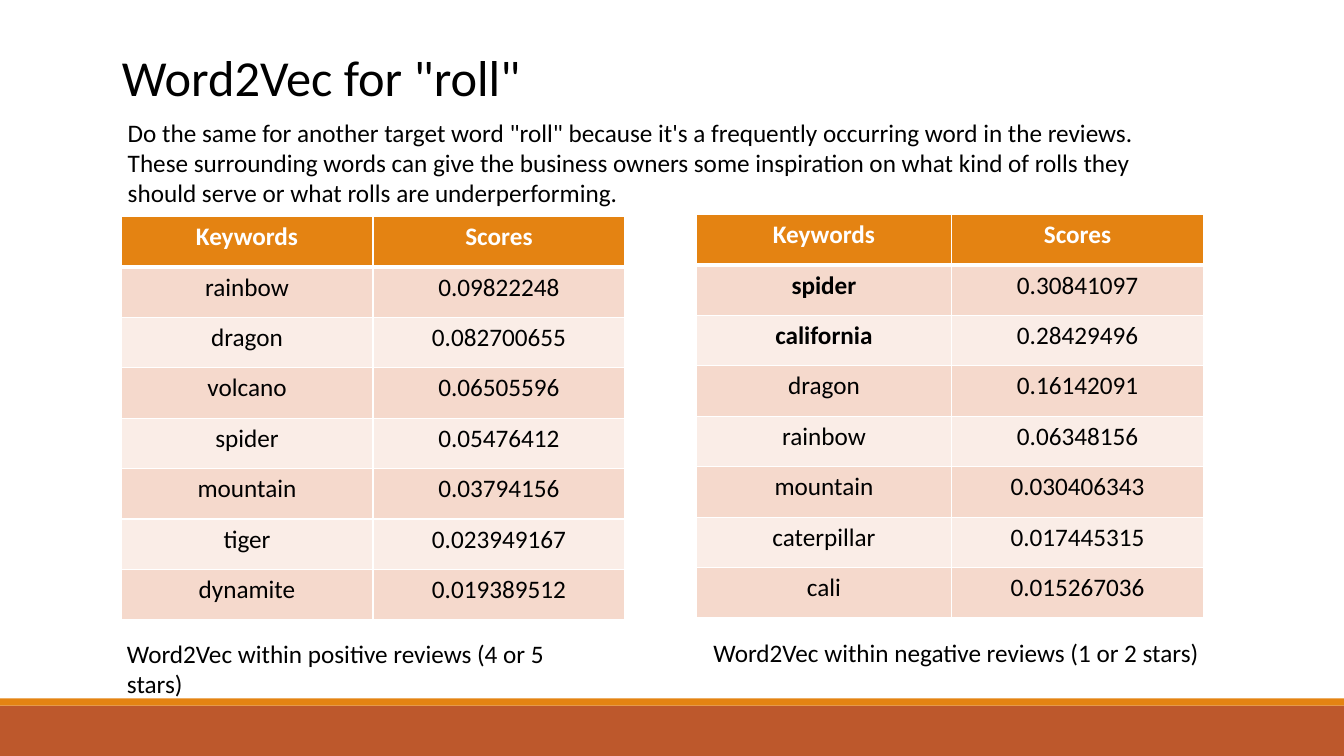
from dataclasses import dataclass

from lxml import etree
from pptx import Presentation
from pptx.dml.color import RGBColor
from pptx.enum.shapes import MSO_SHAPE as Preset
from pptx.enum.text import MSO_ANCHOR as Anchor, MSO_AUTO_SIZE as AutoSize, PP_ALIGN as Align
from pptx.oxml.ns import qn
from pptx.util import Cm, Pt


@dataclass(frozen=True)
class Theme:
    font: str = "Calibri"
    title_size: int = 36
    body_size: int = 18
    text: str = "000000"
    light: str = "FFFFFF"
    accent: str = "E48312"
    base: str = "BD582C"
    bands: tuple = ("F5D9CC", "FAEDE7")
    thin_rule: int = 1
    header_rule: int = 3


class SlideBuilder:
    def __init__(self, slide, theme):
        self.slide = slide
        self.theme = theme

    def style(self, paragraph, size, color, bold=False, align=Align.LEFT):
        paragraph.alignment = align
        for run in paragraph.runs:
            run.font.name = self.theme.font
            run.font.size = Pt(size)
            run.font.bold = bold
            run.font.color.rgb = RGBColor.from_string(color)

    def title(self, text, left, top, width, height):
        heading = self.slide.shapes.title
        heading.left, heading.top = Cm(left), Cm(top)
        heading.width, heading.height = Cm(width), Cm(height)
        frame = heading.text_frame
        frame.text = text
        frame.auto_size = AutoSize.NONE
        frame.vertical_anchor = Anchor.TOP
        self.style(frame.paragraphs[0], self.theme.title_size, self.theme.text)

    def text(self, text, left, top, width, height):
        box = self.slide.shapes.add_textbox(Cm(left), Cm(top), Cm(width), Cm(height))
        frame = box.text_frame
        frame.word_wrap = True
        frame.text = text
        self.style(frame.paragraphs[0], self.theme.body_size, self.theme.text)

    def band(self, top, height, color):
        band = self.slide.shapes.add_shape(
            Preset.RECTANGLE, 0, Cm(top), Cm(SLIDE_WIDTH), Cm(height))
        band.shadow.inherit = False
        band.fill.solid()
        band.fill.fore_color.rgb = RGBColor.from_string(color)
        band.line.fill.background()

    def cell_borders(self, cell, top, bottom):
        properties = cell._tc.get_or_add_tcPr()
        thin = self.theme.thin_rule
        for side, width in (("lnL", thin), ("lnR", thin), ("lnT", top), ("lnB", bottom)):
            line = etree.SubElement(properties, qn(f"a:{side}"), w=str(Pt(width)))
            fill = etree.SubElement(line, qn("a:solidFill"))
            etree.SubElement(fill, qn("a:srgbClr"), val=self.theme.light)

    def score_table(self, scores, left, top, column_widths, bold_words=()):
        theme = self.theme
        rows = [("Keywords", "Scores"), *scores]
        table = self.slide.shapes.add_table(
            len(rows), len(column_widths), Cm(left), Cm(top),
            Cm(sum(column_widths)), Cm(ROW_HEIGHT * len(rows))).table
        for column, width in zip(table.columns, column_widths):
            column.width = Cm(width)
        for index, values in enumerate(rows):
            table.rows[index].height = Cm(ROW_HEIGHT)
            header = index == 0
            fill = theme.accent if header else theme.bands[(index - 1) % 2]
            color = theme.light if header else theme.text
            for column, value in enumerate(values):
                cell = table.cell(index, column)
                self.cell_borders(
                    cell,
                    top=theme.header_rule if index == 1 else theme.thin_rule,
                    bottom=theme.header_rule if header else theme.thin_rule)
                cell.fill.solid()
                cell.fill.fore_color.rgb = RGBColor.from_string(fill)
                cell.text_frame.text = value
                self.style(cell.text_frame.paragraphs[0], theme.body_size, color,
                           header or value in bold_words, Align.CENTER)


SLIDE_WIDTH, SLIDE_HEIGHT = 33.87, 19.05
ROW_HEIGHT = 1.27

POSITIVE_SCORES = [
    ("rainbow", "0.09822248"),
    ("dragon", "0.082700655"),
    ("volcano", "0.06505596"),
    ("spider", "0.05476412"),
    ("mountain", "0.03794156"),
    ("tiger", "0.023949167"),
    ("dynamite", "0.019389512"),
]
NEGATIVE_SCORES = [
    ("spider", "0.30841097"),
    ("california", "0.28429496"),
    ("dragon", "0.16142091"),
    ("rainbow", "0.06348156"),
    ("mountain", "0.030406343"),
    ("caterpillar", "0.017445315"),
    ("cali", "0.015267036"),
]
INTRO = (
    "Do the same for another target word \"roll\" because it's a frequently occurring "
    "word in the reviews. These surrounding words can give the business owners some "
    "inspiration on what kind of rolls they should serve or what rolls are underperforming."
)


def main():
    deck = Presentation()
    deck.slide_width, deck.slide_height = Cm(SLIDE_WIDTH), Cm(SLIDE_HEIGHT)
    theme = Theme()
    title_only = deck.slide_layouts[5]
    page = SlideBuilder(deck.slides.add_slide(title_only), theme)

    # Footer bands
    page.band(17.78, 1.27, theme.base)
    page.band(17.6, 0.18, theme.accent)

    # Heading and introduction
    page.title("Word2Vec for \"roll\"", 2.82, 1.04, 20.78, 1.8)
    page.text(INTRO, 2.97, 2.82, 26.92, 2.57)

    # Keyword scores
    page.score_table(POSITIVE_SCORES, 3.05, 5.46, (6.35, 6.35))
    page.score_table(NEGATIVE_SCORES, 17.55, 5.41, (6.43, 6.35),
                     bold_words=("spider", "california"))

    # Table captions
    page.text("Word2Vec within positive reviews (4 or 5 stars)", 2.95, 15.95, 12.55, 1.02)
    page.text("Word2Vec within negative reviews (1 or 2 stars)", 17.73, 15.93, 12.9, 1.02)

    deck.save("out.pptx")


if __name__ == "__main__":
    main()
